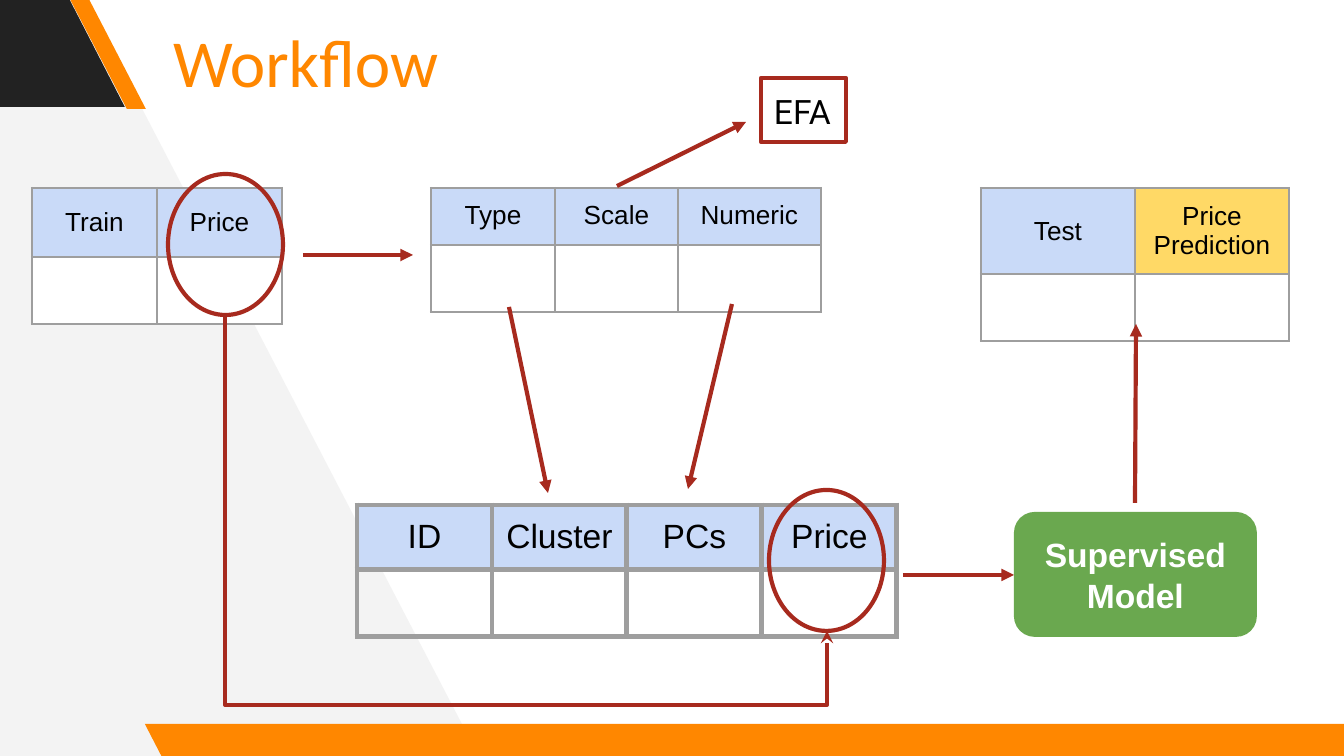
"""Build the Workflow slide: linked data tables leading to a supervised model."""
from dataclasses import dataclass
from typing import Optional

from lxml.etree import SubElement
from pptx import Presentation
from pptx.dml.color import RGBColor
from pptx.enum.shapes import MSO_CONNECTOR as Connector, MSO_SHAPE as Shape
from pptx.enum.text import MSO_ANCHOR as Anchor, PP_ALIGN as Align
from pptx.oxml.ns import qn
from pptx.util import Emu, Pt

SCALE = 914400 / 134.4
PADDING = 13
COLORS = {
    "orange": "FF8700", "dark": "222222", "pale": "F3F3F3", "border": "9E9E9E",
    "blue": "C9DAF8", "yellow": "FFD966", "green": "6AA84F", "red": "A72A1E",
    "black": "000000", "white": "FFFFFF",
}


@dataclass(frozen=True)
class Box:
    left: int
    top: int
    width: int
    height: int


@dataclass(frozen=True)
class Band:
    box: Box
    slant: float
    color: str


@dataclass(frozen=True)
class DataTable:
    left: int
    top: int
    headers: tuple[str, ...]
    widths: tuple[int, ...]
    heights: tuple[int, int]
    size: int = 14
    border: float = 1.5
    anchor: Anchor = Anchor.TOP
    body: Optional[str] = None


@dataclass(frozen=True)
class Arrow:
    start: tuple[int, int]
    end: tuple[int, int]


BANDS = [
    Band(Box(-133, -3, 258, 110), 0.515, "dark"),
    Band(Box(70, -1, 76, 110), 0.75, "orange"),
    Band(Box(145, 724, 1230, 34), 0.515, "orange"),
]
BACKDROP = [(478, 755), (83, -5), (-8, -5), (-3, 761)]
TABLES = [
    DataTable(32, 188, ("Train", "Price"), (125, 125), (69, 64),
              anchor=Anchor.MIDDLE, body="white"),
    DataTable(431, 188, ("Type", "Scale", "Numeric"), (124, 123, 143), (57, 64)),
    DataTable(357, 505, ("ID", "Cluster", "PCs", "Price"), (135,) * 4, (65, 64),
              size=18, border=3),
    DataTable(981, 188, ("Test", "Price Prediction"), (154, 154), (86, 64),
              anchor=Anchor.MIDDLE, body="white"),
]
HEADER_COLORS = {"Price Prediction": "yellow"}
ARROWS = [
    Arrow((732, 304), (688, 489)),
    Arrow((509, 307), (548, 493)),
    Arrow((617, 186), (746, 122)),
    Arrow((903, 575), (1014, 575)),
    Arrow((1135, 503), (1136, 324)),
    Arrow((303, 255), (413, 255)),
]
PRICE_RINGS = [Box(168, 174, 115, 141), Box(769, 490, 115, 141)]
PRICE_PATH = Arrow((225, 315), (827, 631))
PRICE_PATH_BOTTOM = 705


def px(value: int) -> Emu:
    return Emu(round(value * SCALE))


def rgb(name: str) -> RGBColor:
    return RGBColor.from_string(COLORS[name])


def place(box: Box) -> tuple[Emu, ...]:
    return px(box.left), px(box.top), px(box.width), px(box.height)


def paint(shape, fill: Optional[str] = None, line: Optional[str] = None) -> None:
    shape.shadow.inherit = False
    if fill:
        shape.fill.solid()
        shape.fill.fore_color.rgb = rgb(fill)
    else:
        shape.fill.background()
    if line:
        shape.line.color.rgb = rgb(line)
        shape.line.width = Pt(2.25)
    else:
        shape.line.fill.background()


def write(frame, lines: list[str], font: str, size: int, color: str,
          align: Align = Align.LEFT, bold: bool = False) -> None:
    frame.text = "\n".join(lines)
    for paragraph in frame.paragraphs:
        paragraph.alignment = align
        paragraph.font.name = font
        paragraph.font.size = Pt(size)
        paragraph.font.bold = bold
        paragraph.font.color.rgb = rgb(color)


def pad(frame, anchor: Anchor) -> None:
    frame.word_wrap = True
    frame.vertical_anchor = anchor
    frame.margin_left = frame.margin_right = px(PADDING)
    frame.margin_top = frame.margin_bottom = px(PADDING)


def add_figure(slide, kind: Shape, box: Box, fill: Optional[str] = None,
               line: Optional[str] = None):
    shape = slide.shapes.add_shape(kind, *place(box))
    paint(shape, fill, line)
    return shape


def add_backdrop(slide) -> None:
    builder = slide.shapes.build_freeform(*BACKDROP[0], scale=SCALE)
    builder.add_line_segments(BACKDROP[1:], close=True)
    paint(builder.convert_to_shape(), "pale")


def add_band(slide, band: Band) -> None:
    shape = add_figure(slide, Shape.PARALLELOGRAM, band.box, band.color)
    shape.adjustments[0] = band.slant
    shape._element.spPr.get_or_add_xfrm().set("flipH", "1")


def add_borders(cell, width: float) -> None:
    properties = cell._tc.get_or_add_tcPr()
    for side in ("lnL", "lnR", "lnT", "lnB"):
        line = SubElement(properties, qn(f"a:{side}"), w=str(Pt(width)))
        fill = SubElement(line, qn("a:solidFill"))
        SubElement(fill, qn("a:srgbClr"), val=COLORS["border"])


def add_data_table(slide, data: DataTable) -> None:
    box = Box(data.left, data.top, sum(data.widths), sum(data.heights))
    table = slide.shapes.add_table(2, len(data.headers), *place(box)).table
    table.first_row = table.horz_banding = False
    for row, height in zip(table.rows, data.heights):
        row.height = px(height)
    for index, (header, width) in enumerate(zip(data.headers, data.widths)):
        table.columns[index].width = px(width)
        fills = (HEADER_COLORS.get(header, "blue"), data.body)
        for row_index, fill in enumerate(fills):
            cell = table.cell(row_index, index)
            add_borders(cell, data.border)
            if fill:
                cell.fill.solid()
                cell.fill.fore_color.rgb = rgb(fill)
            else:
                cell.fill.background()
            cell.vertical_anchor = data.anchor
            cell.margin_left = cell.margin_right = px(PADDING)
            cell.margin_top = cell.margin_bottom = px(PADDING)
        write(table.cell(0, index).text_frame, [header], "Arial", data.size,
              "black", Align.CENTER)


def add_arrow(slide, arrow: Arrow, kind: Connector = Connector.STRAIGHT,
              head: str = "triangle"):
    connector = slide.shapes.add_connector(
        kind, *map(px, arrow.start + arrow.end))
    connector.line.color.rgb = rgb("red")
    connector.line.width = Pt(2.25)
    SubElement(connector.line._get_or_add_ln(), qn("a:tailEnd"), type=head)
    SubElement(connector._element.spPr, qn("a:effectLst"))
    return connector


def add_price_path(slide) -> None:
    connector = add_arrow(slide, PRICE_PATH, Connector.ELBOW, "stealth")
    top, end = PRICE_PATH.start[1], PRICE_PATH.end[1]
    drop = round((PRICE_PATH_BOTTOM - top) / (end - top) * 100000)
    geometry = connector._element.spPr.find(qn("a:prstGeom"))
    geometry.set("prst", "bentConnector4")
    guides = geometry.find(qn("a:avLst"))
    for name, value in (("adj1", 0), ("adj2", drop)):
        SubElement(guides, qn("a:gd"), name=name, fmla=f"val {value}")


def main() -> None:
    presentation = Presentation()
    presentation.slide_width, presentation.slide_height = px(1344), px(756)
    slide = presentation.slides.add_slide(presentation.slide_layouts[5])
    add_backdrop(slide)
    for band in BANDS:
        add_band(slide, band)
    title = slide.shapes.title
    title.left, title.top, title.width, title.height = place(Box(160, 3, 618, 115))
    write(title.text_frame, ["Workflow"], "Calibri", 36, "orange")
    pad(title.text_frame, Anchor.MIDDLE)
    for data in TABLES:
        add_data_table(slide, data)
    for arrow in ARROWS:
        add_arrow(slide, arrow)
    analysis = add_figure(slide, Shape.RECTANGLE, Box(761, 78, 85, 64), line="red")
    write(analysis.text_frame, ["EFA"], "Roboto", 18, "black")
    pad(analysis.text_frame, Anchor.TOP)
    model = add_figure(slide, Shape.ROUNDED_RECTANGLE, Box(1014, 512, 243, 125), "green")
    write(model.text_frame, ["Supervised", "Model"], "Arial", 18, "white",
          Align.CENTER, bold=True)
    pad(model.text_frame, Anchor.MIDDLE)
    add_price_path(slide)
    for ring in PRICE_RINGS:
        add_figure(slide, Shape.OVAL, ring, line="red")
    presentation.save("out.pptx")


if __name__ == "__main__":
    main()
